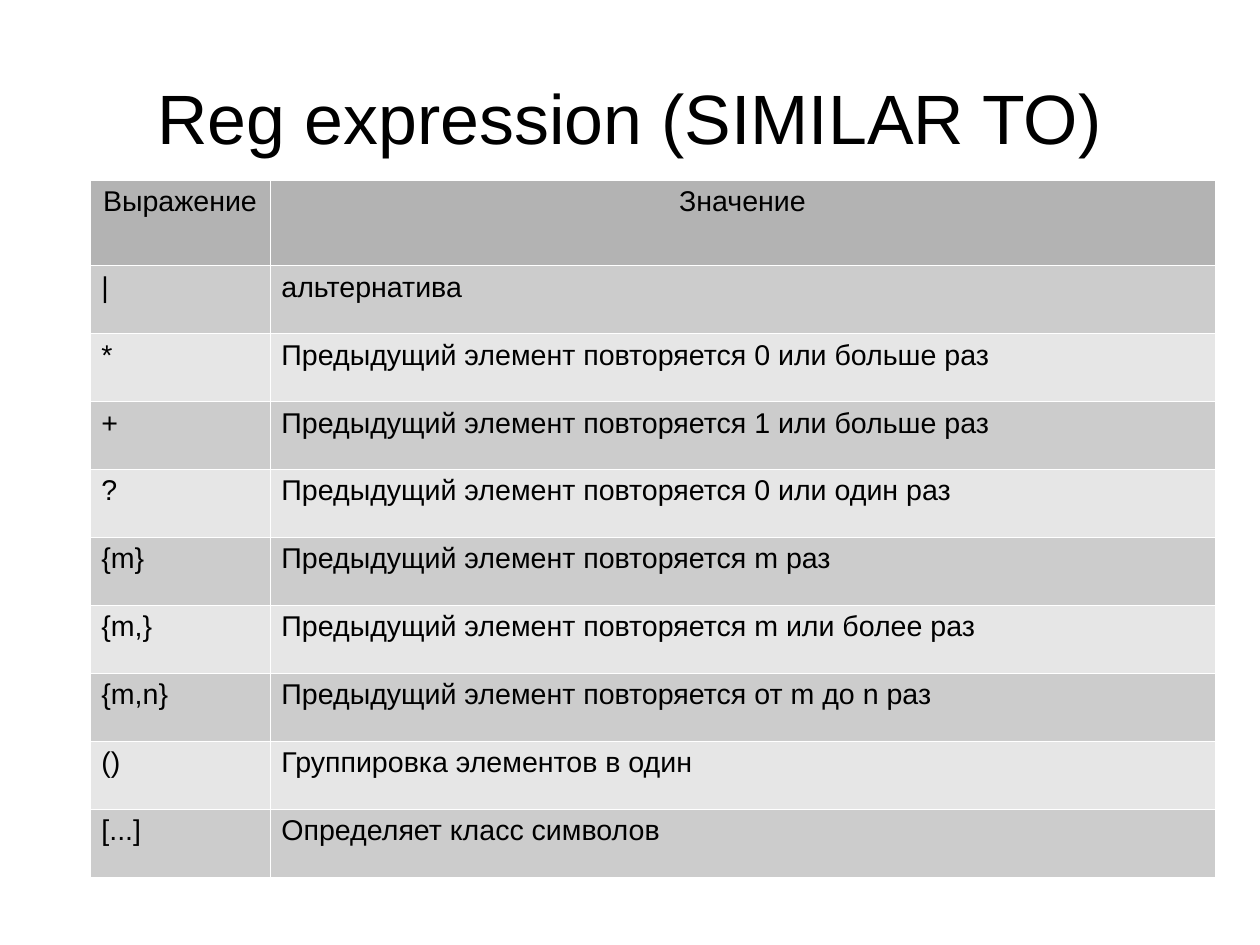
from lxml.etree import SubElement
from pptx import Presentation
from pptx.dml.color import RGBColor
from pptx.enum.text import MSO_ANCHOR, PP_ALIGN
from pptx.oxml.ns import qn
from pptx.util import Cm, Pt

BLACK = RGBColor(0x00, 0x00, 0x00)
WHITE = RGBColor(0xFF, 0xFF, 0xFF)
HEADER_GREY = RGBColor(0xB3, 0xB3, 0xB3)
BAND_GREYS = (RGBColor(0xCC, 0xCC, 0xCC), RGBColor(0xE6, 0xE6, 0xE6))
BORDER_WIDTH = Pt(0.06)

HEADER = ("Выражение", "Значение")
EXPRESSIONS = [
    ("|", "альтернатива"),
    ("*", "Предыдущий элемент повторяется 0 или больше раз"),
    ("+", "Предыдущий элемент повторяется 1 или больше раз"),
    ("?", "Предыдущий элемент повторяется 0 или один раз"),
    ("{m}", "Предыдущий элемент повторяется m раз"),
    ("{m,}", "Предыдущий элемент повторяется m или более раз"),
    ("{m,n}", "Предыдущий элемент повторяется от m до n раз"),
    ("()", "Группировка элементов в один"),
    ("[...]", "Определяет класс символов"),
]
COLUMN_WIDTHS = (Cm(4), Cm(21))
HEADER_HEIGHT = Cm(1.9)
ROW_HEIGHT = Cm(1.51)


def write(frame, text, size, align):
    """Put one styled paragraph into a text frame."""
    para = frame.paragraphs[0]
    para.text = text
    para.alignment = align
    para.font.name = "Arial"
    para.font.size = Pt(size)
    para.font.bold = False
    para.font.color.rgb = BLACK


def add_title(page, text):
    """Add the centred title without inner margins."""
    box = page.shapes.add_textbox(Cm(1.4), Cm(0.84), Cm(25.2), Cm(3.5))
    frame = box.text_frame
    frame.word_wrap = True
    frame.vertical_anchor = MSO_ANCHOR.MIDDLE
    frame.margin_left = frame.margin_right = 0
    frame.margin_top = frame.margin_bottom = 0
    write(frame, text, 44, PP_ALIGN.CENTER)


def add_borders(cell):
    """Draw a thin white line on each side of a cell."""
    properties = cell._tc.get_or_add_tcPr()
    for side in ("a:lnL", "a:lnR", "a:lnT", "a:lnB"):
        line = SubElement(properties, qn(side), w=str(BORDER_WIDTH))
        fill = SubElement(line, qn("a:solidFill"))
        SubElement(fill, qn("a:srgbClr"), val=str(WHITE))


def fill_row(table, index, texts, color, align):
    """Write and colour the cells of one table row."""
    for cell, text in zip(table.rows[index].cells, texts):
        add_borders(cell)
        cell.fill.solid()
        cell.fill.fore_color.rgb = color
        write(cell.text_frame, text, 18, align)


def add_expression_table(page):
    """Add the table of expressions and their meanings."""
    height = HEADER_HEIGHT + ROW_HEIGHT * len(EXPRESSIONS)
    table = page.shapes.add_table(
        len(EXPRESSIONS) + 1, len(HEADER), Cm(2), Cm(4), sum(COLUMN_WIDTHS), height
    ).table
    table.horz_banding = False
    for column, width in zip(table.columns, COLUMN_WIDTHS):
        column.width = width
    table.rows[0].height = HEADER_HEIGHT
    fill_row(table, 0, HEADER, HEADER_GREY, PP_ALIGN.CENTER)
    for index, texts in enumerate(EXPRESSIONS, start=1):
        table.rows[index].height = ROW_HEIGHT
        fill_row(table, index, texts, BAND_GREYS[(index - 1) % 2], PP_ALIGN.LEFT)


def main():
    """Build and save the slide."""
    deck = Presentation()
    deck.slide_width, deck.slide_height = Cm(28), Cm(21)
    page = deck.slides.add_slide(deck.slide_layouts[6])
    add_title(page, "Reg expression (SIMILAR TO)")
    add_expression_table(page)
    deck.save("out.pptx")


main()
